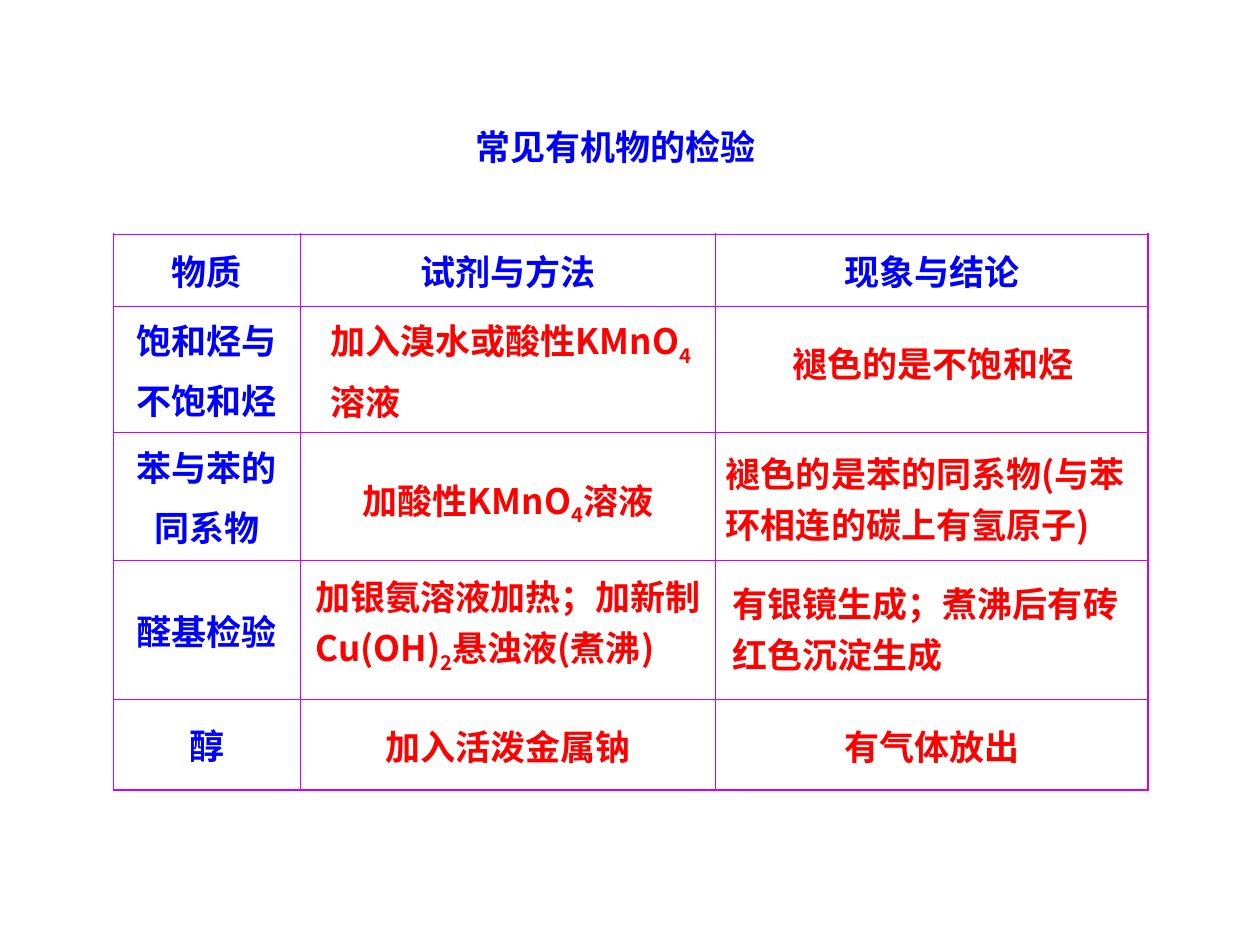
from dataclasses import dataclass

from lxml.etree import SubElement
from pptx import Presentation
from pptx.dml.color import RGBColor as RGB
from pptx.enum.text import MSO_ANCHOR as Anchor, MSO_AUTO_SIZE as AutoSize, PP_ALIGN as Align
from pptx.oxml.ns import qn
from pptx.util import Inches, Pt


@dataclass(frozen=True)
class Theme:
    heading: RGB = RGB(0x00, 0x00, 0xFF)
    answer: RGB = RGB(0xFF, 0x00, 0x00)
    border: str = "CC00FF"
    font: str = "Noto Sans CJK SC"
    title_font: str = "Times New Roman"
    size: Pt = Pt(20)
    gap: Pt = Pt(5)
    outer: Pt = Pt(1.08)
    inner: Pt = Pt(0.45)
    loose: float = 1.1


THEME = Theme()

COLUMN_WIDTHS = [1.48, 3.3, 3.43]
ROW_HEIGHTS = [0.57, 1, 1.02, 1.1, 0.72]
HEADERS = ["物质", "试剂与方法", "现象与结论"]
SUBSTANCES = ["饱和烃与\n不饱和烃", "苯与苯的\n同系物", "醛基检验", "醇"]

# Left, top, width, height, lines; an underscore marks a one-digit subscript
ANSWERS = [
    (2.48, 2.48, 3.15, 0.92, ["加入溴水或酸性KMnO_4", "溶液"]),
    (6.04, 2.66, 2.73, 0.44, ["褪色的是不饱和烃"]),
    (2.77, 3.41, 2.52, 0.82, ["加酸性KMnO_4溶液"]),
    (5.43, 3.54, 3.83, 0.84, ["褪色的是苯的同系物(与苯", "环相连的碳上有氢原子)"]),
    (2.2, 4.52, 3.67, 0.88, ["加银氨溶液加热；加新制", "Cu(OH)_2悬浊液(煮沸)"]),
    (5.51, 4.57, 3.67, 0.84, ["有银镜生成；煮沸后有砖", "红色沉淀生成"]),
    (2.82, 5.7, 2.42, 0.44, ["加入活泼金属钠"]),
    (6.5, 5.7, 1.79, 0.44, ["有气体放出"]),
]


def style_run(run, color, latin=THEME.font):
    run.font.name = latin
    run.font.size = THEME.size
    run.font.bold = True
    run.font.color.rgb = color
    SubElement(run.font._element, qn("a:ea")).set("typeface", THEME.font)


def add_formula(paragraph, line, color, latin):
    plain, *marked = line.split("_")
    pieces = [(plain, False)]
    for part in marked:
        pieces += [(part[0], True), (part[1:], False)]
    for piece, lowered in pieces:
        if piece:
            run = paragraph.add_run()
            run.text = piece
            style_run(run, color, latin)
            if lowered:
                run.font._element.set("baseline", "-25000")


def add_text(slide, box, lines, color, latin=THEME.font, anchor=Anchor.BOTTOM, align=Align.LEFT):
    frame = slide.shapes.add_textbox(*map(Inches, box)).text_frame
    frame.word_wrap = True
    frame.auto_size = AutoSize.SHAPE_TO_FIT_TEXT
    frame.vertical_anchor = anchor
    # Centre the block in its box while its lines keep their own alignment
    frame._txBody.bodyPr.set("anchorCtr", "1")
    for index, line in enumerate(lines):
        paragraph = frame.add_paragraph() if index else frame.paragraphs[0]
        paragraph.alignment = align
        if line == "溶液":
            paragraph.line_spacing = THEME.loose
        if index:
            paragraph.space_before = THEME.gap
        add_formula(paragraph, line, color, latin)


def set_borders(cell, widths):
    properties = cell._tc.get_or_add_tcPr()
    for index, (side, width) in enumerate(widths.items()):
        line = properties.makeelement(qn(f"a:ln{side}"), {"w": str(int(width))})
        fill = SubElement(line, qn("a:solidFill"))
        SubElement(fill, qn("a:srgbClr")).set("val", THEME.border)
        properties.insert(index, line)


def fill_cell(cell, text):
    cell.vertical_anchor = Anchor.MIDDLE
    cell.text_frame.text = text
    for index, paragraph in enumerate(cell.text_frame.paragraphs):
        paragraph.alignment = Align.CENTER
        if index:
            paragraph.space_before = THEME.gap
        for run in paragraph.runs:
            style_run(run, THEME.heading)


def add_test_table(slide):
    last_row, last_column = len(ROW_HEIGHTS) - 1, len(COLUMN_WIDTHS) - 1
    tests = slide.shapes.add_table(
        last_row + 1, last_column + 1, Inches(0.9), Inches(1.86),
        Inches(sum(COLUMN_WIDTHS)), Inches(sum(ROW_HEIGHTS))).table
    tests.first_row = tests.horz_banding = False
    for column, width in zip(tests.columns, COLUMN_WIDTHS):
        column.width = Inches(width)
    for row, height in zip(tests.rows, ROW_HEIGHTS):
        row.height = Inches(height)

    # Thick outer frame, thin inner rules
    for r in range(last_row + 1):
        for c in range(last_column + 1):
            cell = tests.cell(r, c)
            cell.fill.background()
            on_edge = {"L": c == 0, "R": c == last_column, "T": r == 0, "B": r == last_row}
            set_borders(cell, {side: THEME.outer if edge else THEME.inner
                               for side, edge in on_edge.items()})

    # Headings along the top and down the left
    for c, header in enumerate(HEADERS):
        fill_cell(tests.cell(0, c), header)
    for r, substance in enumerate(SUBSTANCES, start=1):
        fill_cell(tests.cell(r, 0), substance)


def main():
    deck = Presentation()
    deck.slide_width, deck.slide_height = Inches(10), Inches(7.5)
    slide = deck.slides.add_slide(deck.slide_layouts[6])

    # Title
    add_text(slide, (1.93, 0.95, 5.91, 0.44), ["常见有机物的检验"], THEME.heading,
             THEME.title_font, Anchor.TOP, Align.CENTER)

    # Table grid with the answers laid over it
    add_test_table(slide)
    for *box, lines in ANSWERS:
        add_text(slide, box, lines, THEME.answer)

    deck.save("out.pptx")


if __name__ == "__main__":
    main()
